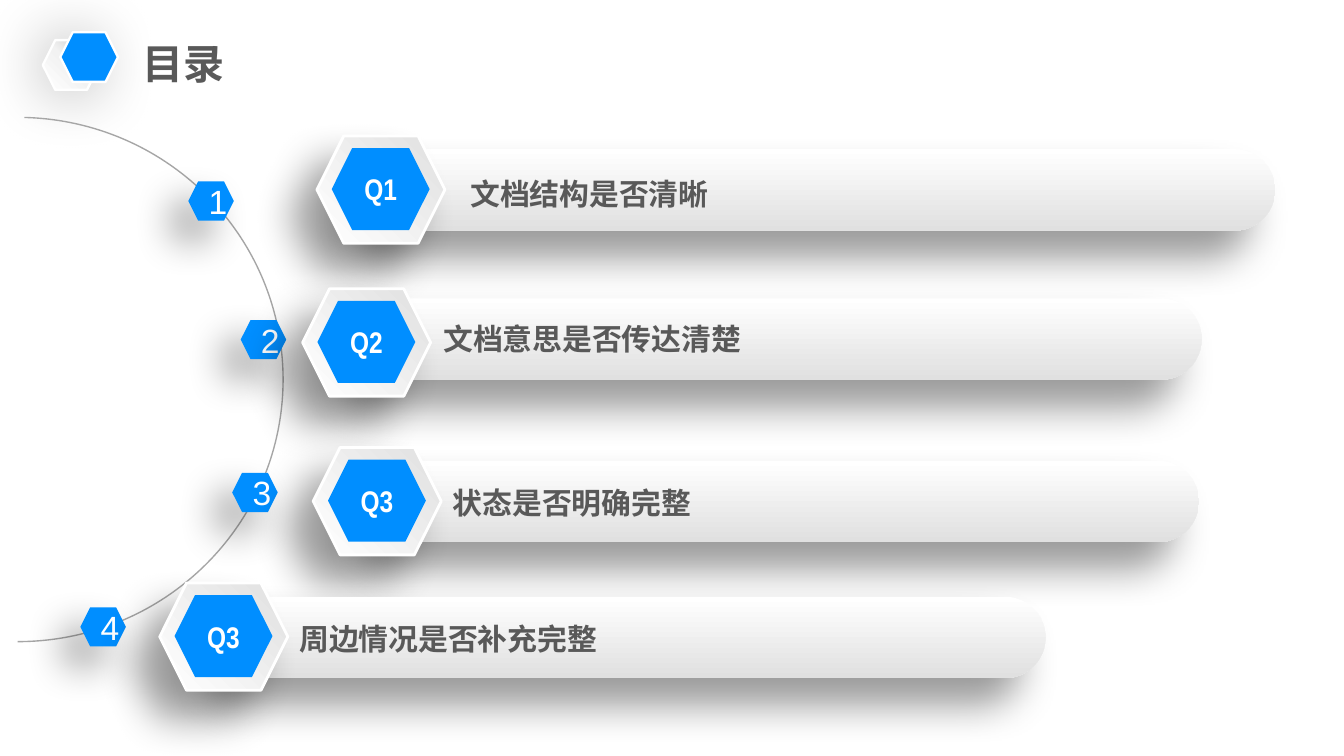
from copy import deepcopy
from dataclasses import dataclass

from lxml import etree
from pptx import Presentation
from pptx import util as u
from pptx.dml.color import RGBColor
from pptx.enum import shapes, text
from pptx.oxml import ns

Cm, Pt = u.Cm, u.Pt


@dataclass(frozen=True)
class Theme:
    """Colours, fonts and type sizes of the slide."""
    blue: str = "008EFF"
    ink: str = "595959"
    white: str = "FFFFFF"
    pale: str = "F2F2F2"
    silver: str = "E0E0E0"
    grey: str = "BFBFBF"
    arc: str = "A6A6A6"
    shadow: str = "000000"
    cjk: str = "Noto Sans CJK SC"
    digit: str = "Arial"
    badge: str = "Arial Narrow"
    title_size: int = 22
    marker_size: int = 18
    label_size: int = 16


T = Theme()
HEXAGON = shapes.MSO_SHAPE.HEXAGON
MARKERS = [(3.56, 3.43), (4.55, 6.05), (4.39, 8.94), (1.52, 11.48)]
# badge label, heading, badge corner, bar corner and width, heading corner
ROWS = [
    ("Q1", "文档结构是否清晰", (5.99, 2.57), (7.16, 2.82, 16.94), (8.64, 3.2)),
    ("Q2", "文档意思是否传达清楚", (5.72, 5.46), (6.91, 5.64, 15.8), (8.13, 5.94)),
    ("Q3", "状态是否明确完整", (5.92, 8.46), (7.29, 8.71, 15.37), (8.31, 9.04)),
    ("Q3", "周边情况是否补充完整", (3.02, 11.02), (4.39, 11.28, 15.37), (5.41, 11.61)),
]


def rgb(colour):
    """Turn a hex string into a colour."""
    return RGBColor.from_string(colour)


def paint(sp, colours, angle):
    """Fill a shape with one colour or an evenly stepped gradient."""
    if len(colours) == 1:
        sp.fill.solid()
        sp.fill.fore_color.rgb = rgb(colours[0])
        return
    sp.fill.gradient()
    sp.fill.gradient_angle = -angle % 360
    stops = sp._element.spPr.find(".//" + ns.qn("a:gsLst"))
    for _ in colours[2:]:
        stops.append(deepcopy(stops[-1]))
    for i, (stop, colour) in enumerate(zip(sp.fill.gradient_stops, colours)):
        stop.color.rgb = rgb(colour)
        stop.position = i / (len(colours) - 1)


def cast_shadow(sp, opacity, blur, distance):
    """Give a shape a soft shadow towards the lower left."""
    effects = sp._element.spPr.find(ns.qn("a:effectLst"))
    shadow = etree.SubElement(
        effects, ns.qn("a:outerShdw"), blurRad=str(Pt(blur)), dist=str(Pt(distance)),
        dir=str(135 * 60000), algn="ctr", rotWithShape="0")
    colour = etree.SubElement(shadow, ns.qn("a:srgbClr"), val=T.shadow)
    etree.SubElement(colour, ns.qn("a:alpha"), val=str(opacity * 1000))


def add_shape(parent, kind, box, colours, angle=0, line=None, shadow=None):
    """Add a filled preset shape with an optional white outline and shadow."""
    sp = parent.shapes.add_shape(kind, *map(Cm, box))
    sp.shadow.inherit = False
    paint(sp, colours, angle)
    if line:
        sp.line.color.rgb = rgb(T.white)
        sp.line.width = Pt(line)
    else:
        sp.line.fill.background()
    if shadow:
        cast_shadow(sp, *shadow)
    return sp


def write(sp, words, font, size, colour, bold=True):
    """Set a shape's text and format its run."""
    tf = sp.text_frame
    tf.text = words
    r = tf.paragraphs[0].runs[0]
    r.font.name, r.font.size, r.font.bold = font, Pt(size), bold
    r.font.color.rgb = rgb(colour)
    etree.SubElement(r._r.get_or_add_rPr(), ns.qn("a:ea"), typeface=T.cjk)
    return tf


def centre(tf):
    """Centre text both ways."""
    tf.vertical_anchor = text.MSO_ANCHOR.MIDDLE
    tf.paragraphs[0].alignment = text.PP_ALIGN.CENTER


def add_label(parent, words, box, size):
    """Add a bold grey line of text."""
    sp = parent.shapes.add_textbox(*map(Cm, box))
    tf = write(sp, words, T.cjk, size, T.ink)
    tf.word_wrap = True
    return tf


def add_title(s):
    """Add the heading and its pair of hexagons."""
    tf = add_label(s, "目录", (2.51, 0.74, 16.38, 0.91), T.title_size)
    tf.vertical_anchor = text.MSO_ANCHOR.MIDDLE
    tf.margin_left = tf.margin_right = Cm(0.18)
    tf.margin_top = tf.margin_bottom = Cm(0.1)
    group = s.shapes.add_group_shape()
    add_shape(group, HEXAGON, (0.81, 0.76, 1.07, 0.94),
              (T.white, T.pale, T.grey), 315, 1.25, (35, 35, 0))
    add_shape(group, HEXAGON, (1.14, 0.61, 1.09, 0.94), (T.blue,), line=1.25)


def add_arc(s):
    """Add the thin half circle on the left."""
    sp = s.shapes.add_shape(shapes.MSO_SHAPE.ARC, Cm(-4.62), Cm(2.16), Cm(9.91), Cm(10.03))
    sp.shadow.inherit = False
    sp.rotation = 90
    sp.adjustments[0], sp.adjustments[1] = 108.86, 0
    sp.fill.background()
    sp.line.color.rgb = rgb(T.arc)
    sp.line.width = Pt(0.75)


def add_marker(s, number, x, y):
    """Add a small numbered hexagon on the arc."""
    sp = add_shape(s, HEXAGON, (x, y, 0.86, 0.74), (T.blue,), shadow=(40, 22, 15))
    centre(write(sp, str(number), T.digit, T.marker_size, T.white, False))


def add_row(s, label, heading, badge, bar, corner):
    """Add a rounded bar with its heading and hexagon badge."""
    group = s.shapes.add_group_shape()
    shadow = (40, 22, 20)
    sp = add_shape(group, shapes.MSO_SHAPE.ROUNDED_RECTANGLE, (*bar, 1.54),
                   (T.white, T.silver), 90, shadow=shadow)
    sp.adjustments[0] = 0.5
    add_label(group, heading, (*corner, 13.5, 0.94), T.label_size)
    x, y = badge
    add_shape(group, HEXAGON, (x, y, 2.42, 2.03), (T.silver, T.white), 135, 1.5, shadow)
    sp = add_shape(group, HEXAGON, (x + 0.28, y + 0.23, 1.85, 1.55), (T.blue,))
    tf = write(sp, label, T.badge, T.label_size, T.white)
    tf.margin_left = tf.margin_right = tf.margin_top = tf.margin_bottom = 0
    centre(tf)


def main():
    """Build the contents slide and save it."""
    prs = Presentation()
    prs.slide_width, prs.slide_height = Cm(25.4), Cm(14.29)
    s = prs.slides.add_slide(prs.slide_layouts[6])
    add_title(s)
    add_arc(s)
    for number, corner in enumerate(MARKERS, 1):
        add_marker(s, number, *corner)
    for row in ROWS:
        add_row(s, *row)
    prs.save("out.pptx")


if __name__ == "__main__":
    main()
